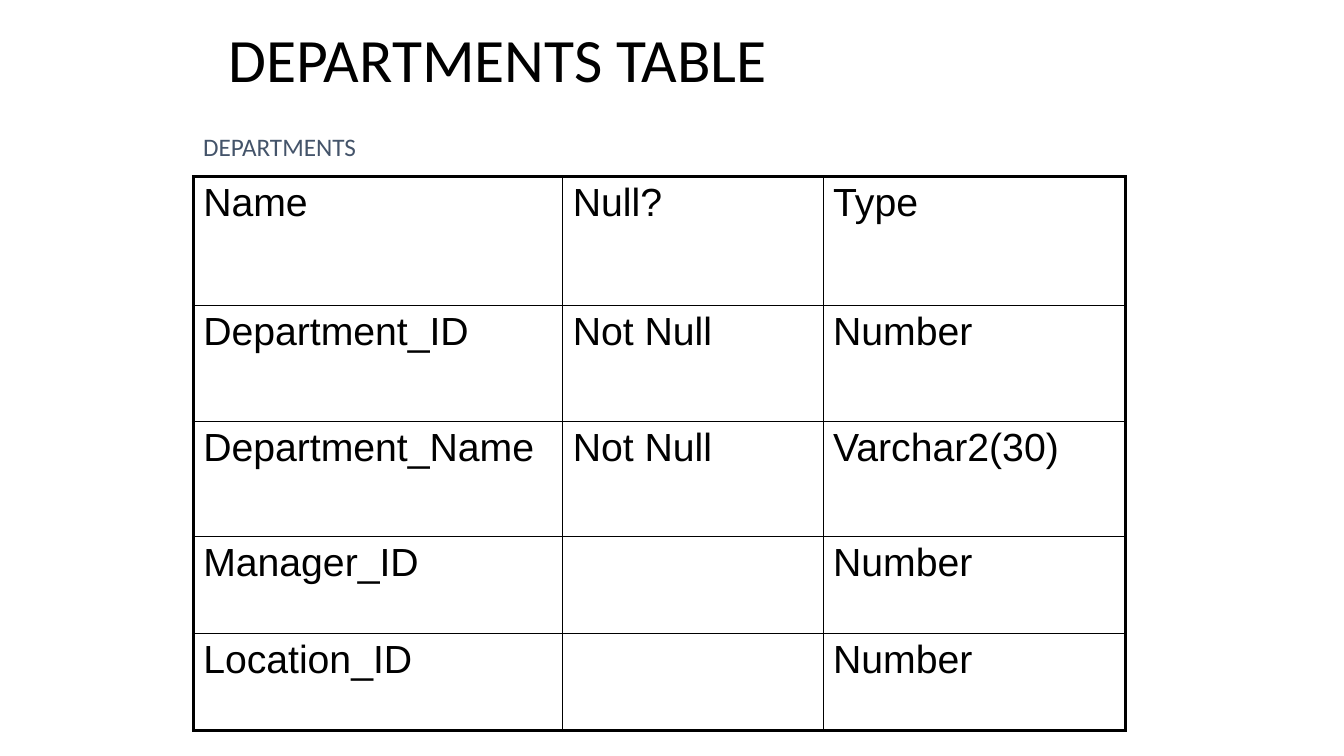
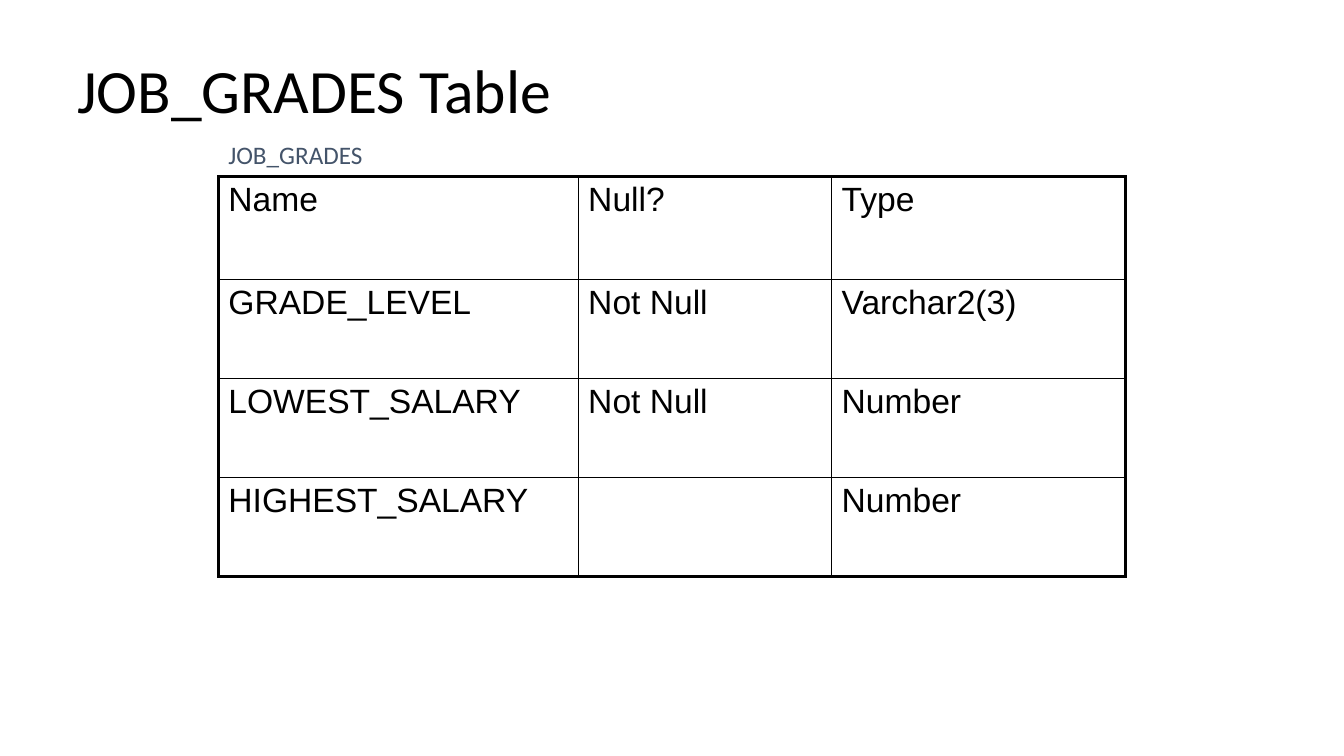
from lxml.etree import SubElement as Sub
from pptx import Presentation as Deck
from pptx.dml.color import RGBColor as Rgb
from pptx.enum.text import MSO_ANCHOR as Anchor, MSO_AUTO_SIZE as Fit, PP_ALIGN as Align
from pptx.oxml.ns import qn
from pptx.util import Pt

COLORS = {"ink": "000000", "label": "44546A"}
THICK, THIN = 2.25, 1


def write(frame, text, font="Calibri", size=18, color="ink", space=None):
    """Put one left-aligned line of formatted text in a frame."""
    para = frame.paragraphs[0]
    para.alignment = Align.LEFT
    if space:
        para.line_spacing = space
    run = para.add_run()
    run.text = text
    run.font.name = font
    run.font.size = Pt(size)
    run.font.color.rgb = Rgb.from_string(COLORS[color])


class Maker:
    """Holds the shared style and the current slide."""

    def __init__(self):
        self.deck = Deck()
        self.deck.slide_width, self.deck.slide_height = Pt(960), Pt(540)
        self.slide = None

    def start(self):
        self.slide = self.deck.slides.add_slide(self.deck.slide_layouts[5])

    def title(self, text, left, top, width):
        shape = self.slide.shapes.title
        shape.left, shape.top = Pt(left), Pt(top)
        shape.width, shape.height = Pt(width), Pt(90)
        frame = shape.text_frame
        frame.auto_size = Fit.NONE
        frame.vertical_anchor = Anchor.MIDDLE
        write(frame, text, size=44, space=0.9)

    def label(self, text, left, top, width):
        box = self.slide.shapes.add_textbox(Pt(left), Pt(top), Pt(width), Pt(29))
        box.text_frame.word_wrap = False
        box.text_frame.auto_size = Fit.SHAPE_TO_FIT_TEXT
        write(box.text_frame, text, color="label")

    def border(self, cell, sides):
        props = cell._tc.get_or_add_tcPr()
        for side, outer in sides.items():
            line = Sub(props, qn(f"a:ln{side}"), w=str(Pt(THICK if outer else THIN)))
            fill = Sub(line, qn("a:solidFill"))
            Sub(fill, qn("a:srgbClr"), val=COLORS["ink"])

    def table(self, data, left, top, cols, rows, size):
        grid = self.slide.shapes.add_table(
            len(rows), len(cols), Pt(left), Pt(top), Pt(sum(cols)), Pt(sum(rows))
        ).table
        grid.first_row = grid.horz_banding = False
        for col, width in zip(grid.columns, cols):
            col.width = Pt(width)
        for row, height in zip(grid.rows, rows):
            row.height = Pt(height)
        # Heavy frame outside, fine lines inside
        end, base = len(cols) - 1, len(rows) - 1
        for y, line in enumerate(data):
            for x, text in enumerate(line):
                cell = grid.cell(y, x)
                self.border(cell, {"L": x == 0, "R": x == end, "T": y == 0, "B": y == base})
                cell.fill.background()
                if text:
                    write(cell.text_frame, text, font="Arial", size=size)


HEAD = ("Name", "Null?", "Type")


def main():
    show = Maker()

    # Departments
    show.start()
    show.title("DEPARTMENTS TABLE", 156, 0, 648)
    show.table(
        [
            HEAD,
            ("Department_ID", "Not Null", "Number"),
            ("Department_Name", "Not Null", "Varchar2(30)"),
            ("Manager_ID", "", "Number"),
            ("Location_ID", "", "Number"),
        ],
        138, 126, cols=[264, 186, 216], rows=[92, 83, 82, 69.5, 69.5], size=28,
    )
    show.label("DEPARTMENTS", 138, 90, 124.5)

    # Job grades
    show.start()
    show.title("JOB_GRADES Table", 48, 21.6, 864)
    show.table(
        [
            HEAD,
            ("GRADE_LEVEL", "Not Null", "Varchar2(3)"),
            ("LOWEST_SALARY", "Not Null", "Number"),
            ("HIGHEST_SALARY", "", "Number"),
        ],
        156, 126, cols=[257, 181, 210], rows=[73.5] + [70.7] * 3, size=24,
    )
    show.label("JOB_GRADES", 156, 96, 111.5)

    show.deck.save("out.pptx")


if __name__ == "__main__":
    main()
